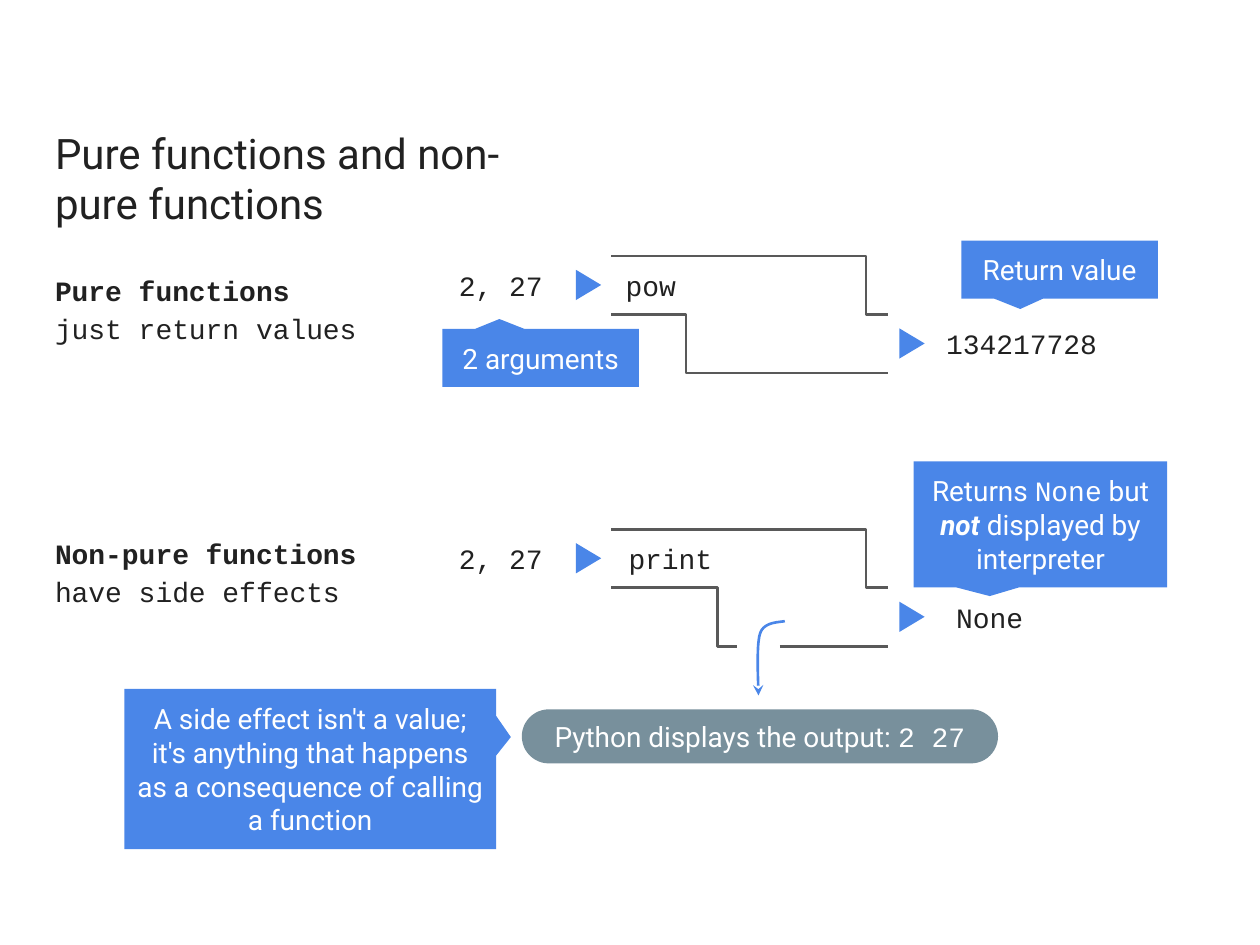
from dataclasses import dataclass

from lxml.etree import SubElement
from pptx import Presentation
from pptx.dml.color import RGBColor
from pptx.enum.shapes import MSO_CONNECTOR, MSO_SHAPE
from pptx.enum.text import MSO_ANCHOR, PP_ALIGN
from pptx.oxml.ns import qn
from pptx.util import Cm, Pt


@dataclass(frozen=True)
class Theme:
    ink: RGBColor = RGBColor(0x21, 0x21, 0x21)
    white: RGBColor = RGBColor(0xFF, 0xFF, 0xFF)
    blue: RGBColor = RGBColor(0x4A, 0x86, 0xE8)
    slate: RGBColor = RGBColor(0x78, 0x90, 0x9C)
    grey: RGBColor = RGBColor(0x59, 0x59, 0x59)
    sans: str = "Roboto"
    mono: str = "Courier New"
    title: Pt = Pt(24)
    text: Pt = Pt(16)
    line: Pt = Pt(1.5)


def bezier(p0, p1, p2, p3, steps=16):
    """Points along a cubic curve, without its first point."""
    for i in range(1, steps + 1):
        t = i / steps
        u = 1 - t
        yield tuple(
            Cm(u**3 * a + 3 * u * u * t * b + 3 * u * t * t * c + t**3 * d)
            for a, b, c, d in zip(p0, p1, p2, p3)
        )


class FunctionSlide:
    LEFT, WIDTH, STEP = 12.32, 5.59, 1.18  # function outline, in cm

    def __init__(self, prs, theme):
        self.theme = theme
        self.s = prs.slides.add_slide(prs.slide_layouts[6])

    def set_text(self, sp, parts, color, size=None, align=PP_ALIGN.CENTER,
                 anchor=MSO_ANCHOR.MIDDLE):
        """Fill one paragraph with (text, font, bold, italic) parts."""
        tf = sp.text_frame
        tf.word_wrap = True
        tf.vertical_anchor = anchor
        tf.margin_left = tf.margin_right = tf.margin_top = tf.margin_bottom = Cm(0.25)
        p = tf.paragraphs[0]
        p.alignment = align
        for text, font, *style in parts:
            r = p.add_run()
            r.text = text
            r.font.name = font
            r.font.size = size or self.theme.text
            r.font.color.rgb = color
            r.font.bold, r.font.italic = style or (False, False)

    def box(self, x, y, w, h, parts, **options):
        sp = self.s.shapes.add_textbox(Cm(x), Cm(y), Cm(w), Cm(h))
        self.set_text(sp, parts, self.theme.ink, **options)
        return sp

    def code(self, x, y, w, text):
        self.box(x, y, w, self.STEP, [(text, self.theme.mono)])

    def shape(self, kind, x, y, w, h, fill, adjustments=()):
        sp = self.s.shapes.add_shape(kind, Cm(x), Cm(y), Cm(w), Cm(h))
        sp.shadow.inherit = False
        sp.fill.solid()
        sp.fill.fore_color.rgb = fill
        sp.line.fill.background()
        for i, value in enumerate(adjustments):
            sp.adjustments[i] = value
        return sp

    def callout(self, x, y, w, h, tip, parts):
        sp = self.shape(MSO_SHAPE.ROUNDED_RECTANGULAR_CALLOUT, x, y, w, h,
                        self.theme.blue, (*tip, 0))
        self.set_text(sp, parts, self.theme.white)

    def pill(self, x, y, w, h, parts):
        sp = self.shape(MSO_SHAPE.ROUNDED_RECTANGLE, x, y, w, h, self.theme.slate, (0.5,))
        self.set_text(sp, parts, self.theme.white)

    def marker(self, x, y):
        sp = self.shape(MSO_SHAPE.ISOSCELES_TRIANGLE, x, y, 0.61, 0.51, self.theme.blue)
        sp.rotation = 90

    def line(self, x1, y1, x2, y2, bend=None):
        """Straight line, or an elbow that turns at the given share of its width."""
        kind = MSO_CONNECTOR.STRAIGHT if bend is None else MSO_CONNECTOR.ELBOW
        c = self.s.shapes.add_connector(kind, Cm(x1), Cm(y1), Cm(x2), Cm(y2))
        c.line.color.rgb = self.theme.grey
        c.line.width = self.theme.line
        spPr = c.element.spPr
        SubElement(spPr, qn("a:effectLst"))
        if bend is not None:
            guides = spPr.find(qn("a:prstGeom")).get_or_add_avLst()
            SubElement(guides, qn("a:gd"), name="adj1", fmla=f"val {round(bend * 100000)}")

    def curved_arrow(self, start, *curves):
        builder = self.s.shapes.build_freeform(Cm(start[0]), Cm(start[1]))
        for curve in curves:
            builder.add_line_segments(list(bezier(start, *curve)), close=False)
            start = curve[-1]
        sp = builder.convert_to_shape()
        sp.shadow.inherit = False
        sp.fill.background()
        sp.line.color.rgb = self.theme.blue
        sp.line.width = self.theme.line
        SubElement(sp.element.spPr.find(qn("a:ln")), qn("a:tailEnd"), type="stealth")

    def function(self, top, name, name_width, result, result_width, floor_end, bend):
        """Arguments, function outline and returned value."""
        right, middle = self.LEFT + self.WIDTH, top + self.STEP
        self.line(self.LEFT, top, right, middle, 0.92)
        self.line(self.LEFT, middle, floor_end, middle + self.STEP, bend)
        self.code(self.LEFT, top, name_width, name)
        self.code(8.81, top, 2.57, "2, 27")
        self.marker(11.56, top + 0.33)
        self.marker(18.08, middle + 0.33)
        self.code(18.64, middle, result_width, result)

    def summary(self, x, y, w, h, entries, gap):
        """Bold heading over a plain line, for each entry."""
        sp = self.box(x, y, w, h, [], anchor=MSO_ANCHOR.TOP)
        tf = sp.text_frame
        for i, entry in enumerate(entries):
            p = tf.add_paragraph() if i else tf.paragraphs[0]
            p.text = "\v".join(entry)
            p.alignment = PP_ALIGN.LEFT
            p.line_spacing = 1.15
            p.space_after = Pt(10)
            p.space_before = gap if i else Pt(0)
            p.font.size = self.theme.text
            for r, bold in zip(p.runs, (True, False)):
                r.font.name = self.theme.mono
                r.font.size = self.theme.text
                r.font.color.rgb = self.theme.ink
                r.font.bold = bold


def main():
    prs = Presentation()
    prs.slide_width, prs.slide_height = Cm(25.4), Cm(19.05)
    theme = Theme()
    sans, mono = theme.sans, theme.mono
    s = FunctionSlide(prs, theme)

    s.box(0.86, 2.06, 9.65, 2.79, [("Pure functions and non-pure functions", sans)],
          size=theme.title, align=PP_ALIGN.LEFT, anchor=MSO_ANCHOR.BOTTOM)
    s.summary(0.86, 5.16, 9.65, 11.79,
              [("Pure functions", "just return values"),
               ("Non-pure functions", "have side effects")], gap=Pt(96))

    s.function(5.16, "pow", 1.6, "134217728", 3.91, floor_end=17.91, bend=0.27)
    s.callout(8.92, 6.63, 3.96, 1.17, (-0.21, -0.67), [("2 arguments", sans)])
    s.callout(19.38, 4.85, 3.96, 1.17, (-0.2, 0.68), [("Return value", sans)])

    s.function(10.67, "print", 2.39, "None", 2.62, floor_end=14.85, bend=0.85)
    s.line(15.72, 13.03, 17.91, 13.03)
    s.curved_arrow((15.82, 12.52),
                   ((15.75, 12.55), (15.39, 12.52), (15.32, 12.78)),
                   ((15.24, 13.03), (15.29, 13.82), (15.29, 14.02)))
    s.pill(10.52, 14.3, 9.6, 1.09,
           [("Python displays the output: ", sans), ("2 27", mono)])
    s.callout(18.42, 9.3, 5.11, 2.54, (-0.2, 0.57),
              [("Returns ", sans), ("None", mono), (" but ", sans),
               ("not", sans, True, True), (" displayed by interpreter", sans)])
    s.callout(2.51, 13.89, 7.49, 3.23, (0.54, -0.2),
              [("A side effect isn't a value; it's anything that happens "
                "as a consequence of calling a function", sans)])

    prs.save("out.pptx")


if __name__ == "__main__":
    main()
